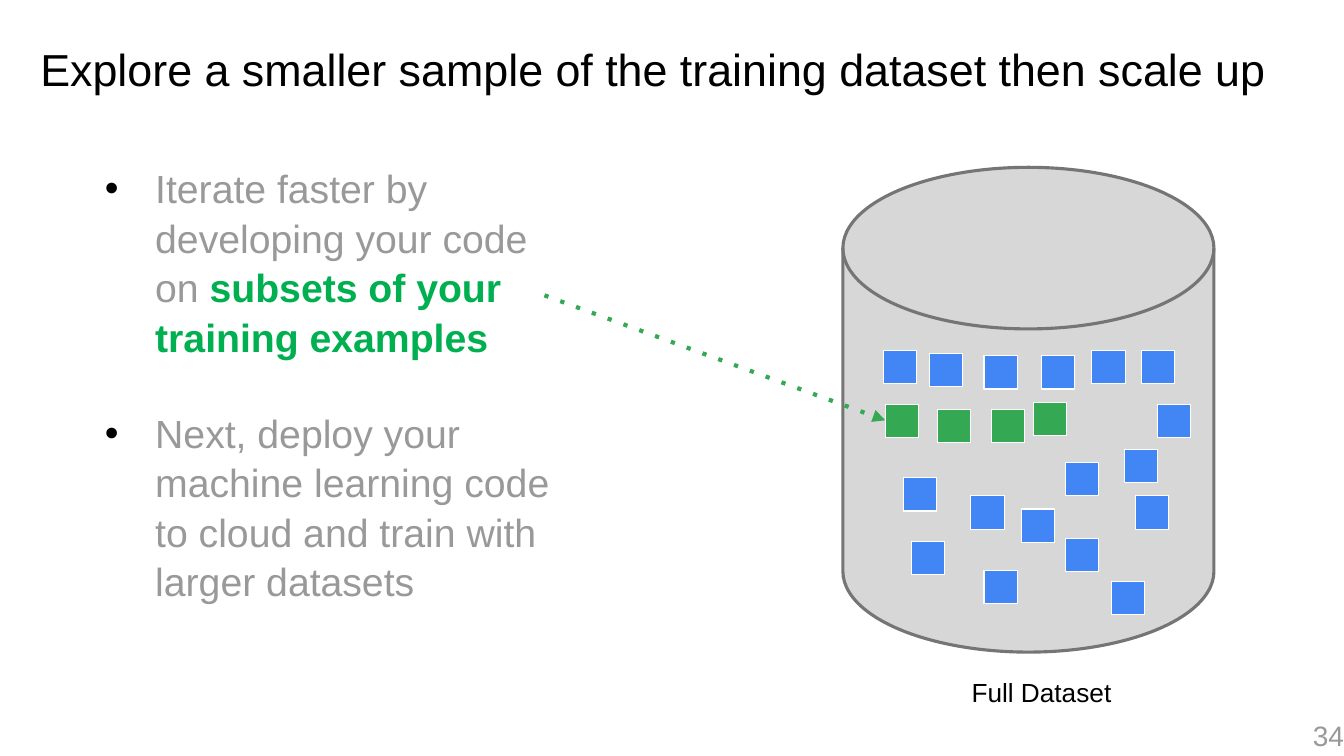
from lxml import etree
from pptx import Presentation
from pptx.dml.color import RGBColor
from pptx.enum import shapes, text
from pptx.oxml import ns
from pptx.util import Inches, Pt

BLACK = RGBColor(0x00, 0x00, 0x00)
WHITE = RGBColor(0xFF, 0xFF, 0xFF)
GREY_TEXT = RGBColor(0x99, 0x99, 0x99)
GREEN_TEXT = RGBColor(0x00, 0xB0, 0x50)
DISK_FILL = RGBColor(0xD7, 0xD7, 0xD7)
DISK_LINE = RGBColor(0x75, 0x75, 0x75)
BLUE = RGBColor(0x42, 0x85, 0xF4)
GREEN = RGBColor(0x34, 0xA8, 0x53)

SQUARE = 0.33
EXAMPLES = [
    (8.76, 3.48), (9.22, 3.51), (9.76, 3.53), (10.33, 3.53), (10.83, 3.48),
    (11.32, 3.48), (11.48, 4.01), (11.15, 4.46), (10.57, 4.59), (8.96, 4.74),
    (9.63, 4.92), (11.26, 4.92), (10.13, 5.05), (10.57, 5.34), (9.04, 5.37),
    (9.76, 5.66), (11.02, 5.77),
]
SUBSET = [(8.78, 4.01), (9.3, 4.06), (9.83, 4.06), (10.25, 3.99)]
ADVICE = [
    [("Iterate faster by developing your code on ", GREY_TEXT, False),
     ("subsets of your training examples", GREEN_TEXT, True)],
    [("Next, deploy your machine learning code to cloud and train with "
      "larger datasets", GREY_TEXT, False)],
]

prs = Presentation()
prs.slide_width, prs.slide_height = Inches(13.33), Inches(7.5)
slide = prs.slides.add_slide(prs.slide_layouts[6])


def add_text_frame(left, top, width, height, margins, anchor=text.MSO_ANCHOR.TOP):
    """Add a wrapping text box; margins are left, top, right, bottom in inches."""
    box = slide.shapes.add_textbox(*map(Inches, (left, top, width, height)))
    frame = box.text_frame
    frame.word_wrap = True
    frame.vertical_anchor = anchor
    (frame.margin_left, frame.margin_top,
     frame.margin_right, frame.margin_bottom) = map(Inches, margins)
    return frame


def add_run(paragraph, words, size, color, bold=False):
    run = paragraph.add_run()
    run.text = words
    run.font.name = "Arial"
    run.font.size = Pt(size)
    run.font.bold = bold
    run.font.color.rgb = color


# Title
title = add_text_frame(0, -0.01, 13.33, 1.45, (0.4, 0.05, 0.1, 0.05),
                       text.MSO_ANCHOR.MIDDLE).paragraphs[0]
title.line_spacing = 0.9
add_run(title, "Explore a smaller sample of the training dataset then scale up", 32, BLACK)

# Dataset and its examples
blocks = [(shapes.MSO_SHAPE.FLOWCHART_MAGNETIC_DISK, 8.36, 1.66, 3.68, 4.81,
           DISK_FILL, DISK_LINE, 2.25)]
for color, places in ((BLUE, EXAMPLES), (GREEN, SUBSET)):
    for left, top in places:
        blocks.append((shapes.MSO_SHAPE.RECTANGLE, left, top, SQUARE, SQUARE,
                       color, WHITE, 0.75))
for kind, left, top, width, height, fill, line, weight in blocks:
    block = slide.shapes.add_shape(kind, *map(Inches, (left, top, width, height)))
    block.shadow.inherit = False
    block.fill.solid()
    block.fill.fore_color.rgb = fill
    block.line.color.rgb = line
    block.line.width = Pt(weight)

caption = add_text_frame(9.23, 6.58, 2.2, 0.59, [0.13] * 4).paragraphs[0]
caption.alignment = text.PP_ALIGN.CENTER
add_run(caption, "Full Dataset", 18.7, BLACK)

# Dotted arrow from the advice to the subset
arrow = slide.shapes.add_connector(shapes.MSO_CONNECTOR.STRAIGHT,
                                   *map(Inches, (5.4, 2.93, 8.78, 4.17)))
arrow.line.color.rgb = GREEN
arrow.line.width = Pt(3)
arrow_line = arrow.line._get_or_add_ln()
etree.SubElement(arrow_line, ns.qn("a:prstDash"), val="dot")
etree.SubElement(arrow_line, ns.qn("a:tailEnd"), type="triangle")
etree.SubElement(arrow._element.spPr, ns.qn("a:effectLst"))

# Bulleted advice
advice = add_text_frame(0.91, 1.48, 4.97, 4.6, [0.13] * 4)
for index, parts in enumerate(ADVICE):
    point = advice.add_paragraph() if index else advice.paragraphs[0]
    indent = point._p.get_or_add_pPr()
    indent.set("marL", str(Inches(0.5)))
    indent.set("indent", str(Inches(-0.5)))
    bullet_color = etree.SubElement(indent, ns.qn("a:buClr"))
    etree.SubElement(bullet_color, ns.qn("a:srgbClr"), val=str(BLACK))
    etree.SubElement(indent, ns.qn("a:buFont"), typeface="Arial")
    etree.SubElement(indent, ns.qn("a:buChar"), char="•")
    point.line_spacing = 1.05
    if index:
        point.space_before = Pt(33.6)
    for words, color, bold in parts:
        add_run(point, words, 28, color, bold)

# Slide number
number = add_text_frame(10.33, 7.09, 3, 0.4, (0.1, 0.05, 0, 0.05),
                        text.MSO_ANCHOR.MIDDLE).paragraphs[0]
number.alignment = text.PP_ALIGN.RIGHT
add_run(number, "34", 20, GREY_TEXT)

prs.save("out.pptx")
